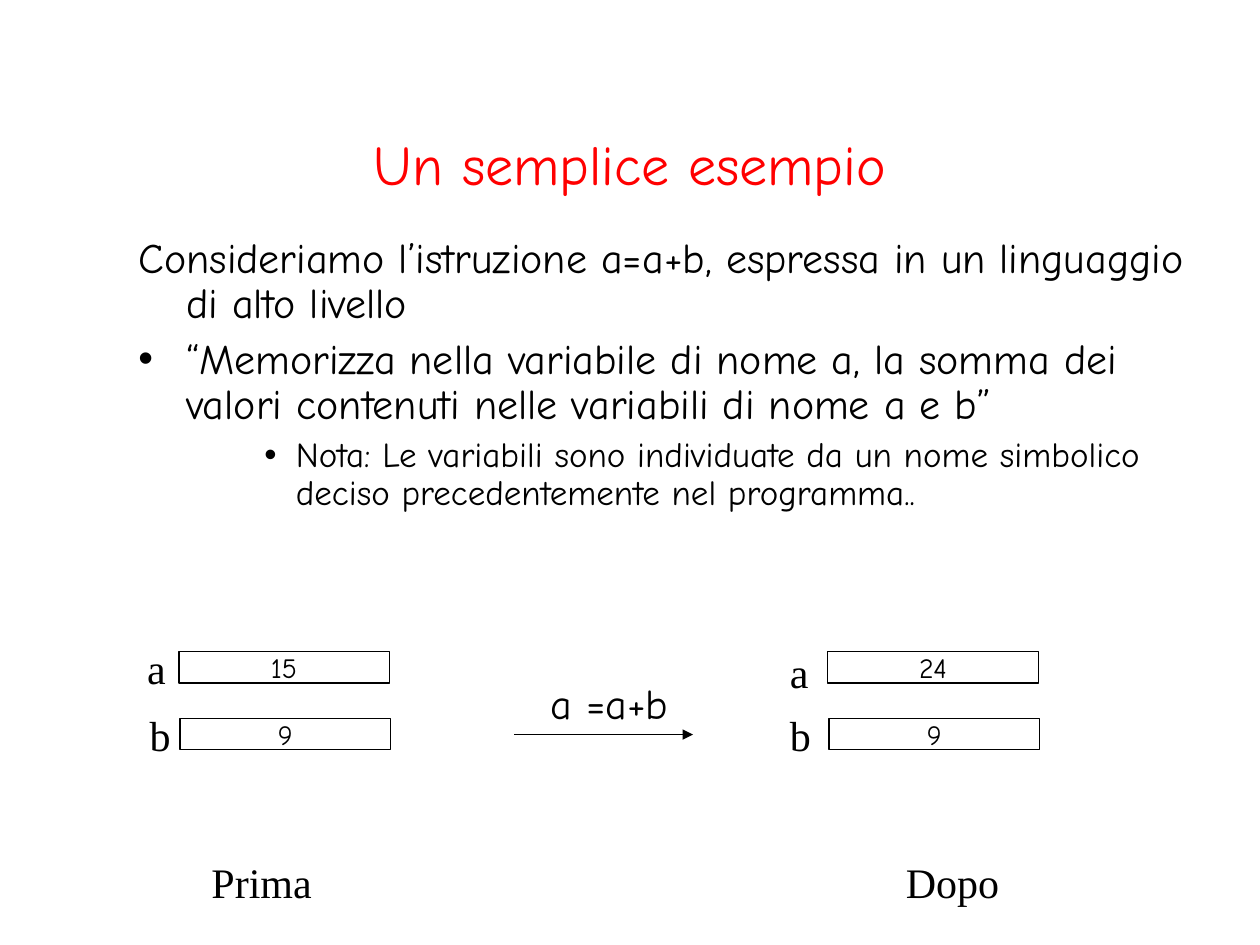
from dataclasses import dataclass

from lxml import etree
from pptx import Presentation
from pptx import util as u
from pptx.dml.color import RGBColor
from pptx.enum import shapes, text
from pptx.oxml.ns import qn


@dataclass(frozen=True)
class Theme:
    title_color: RGBColor = RGBColor(0xFF, 0x00, 0x00)
    ink: RGBColor = RGBColor(0x00, 0x00, 0x00)
    paper: RGBColor = RGBColor(0xFF, 0xFF, 0xFF)
    hand: str = "Comic Neue"
    serif: str = "Times New Roman"
    title_size: int = 32
    body_size: int = 24
    note_size: int = 20
    value_size: int = 16
    line_width: float = 0.75


def write_text(paragraph, content, *, font, size, color, align=None, level=0,
               margin=0, indent=0, bullet=None, before=0, spacing=None):
    """Fill one paragraph; margin and indent are in inches."""
    properties = paragraph._p.get_or_add_pPr()
    properties.set("marL", str(u.Inches(margin)))
    properties.set("indent", str(u.Inches(indent)))
    if bullet:
        etree.SubElement(properties, qn("a:buFont")).set("typeface", "Arial")
        etree.SubElement(properties, qn("a:buChar")).set("char", bullet)
    else:
        etree.SubElement(properties, qn("a:buNone"))
    paragraph.level = level
    paragraph.alignment = align
    paragraph.space_before = u.Pt(before)
    if spacing:
        paragraph.line_spacing = spacing
    run = paragraph.add_run()
    run.text = content
    run.font.name = font
    run.font.size = u.Pt(size)
    run.font.color.rgb = color


class SlideBuilder:
    def __init__(self, slide, theme):
        self.slide = slide
        self.theme = theme

    def text_box(self, left, top, width, height, wrap=False,
                 anchor=text.MSO_ANCHOR.TOP):
        shape = self.slide.shapes.add_textbox(
            *map(u.Inches, (left, top, width, height)))
        shape.text_frame.word_wrap = wrap
        shape.text_frame.vertical_anchor = anchor
        return shape.text_frame

    def title(self, content):
        frame = self.text_box(0.75, 0.67, 8.5, 1.25, True, text.MSO_ANCHOR.MIDDLE)
        write_text(frame.paragraphs[0], content, font=self.theme.hand,
                   size=self.theme.title_size, color=self.theme.title_color,
                   align=text.PP_ALIGN.CENTER)

    def body(self, entries):
        frame = self.text_box(1, 1.83, 8.5, 2.75, True)
        for index, (content, style) in enumerate(entries):
            paragraph = frame.add_paragraph() if index else frame.paragraphs[0]
            write_text(paragraph, content, font=self.theme.hand,
                       color=self.theme.ink, spacing=0.9, **style)

    def label(self, content, left, top, width, font=None):
        frame = self.text_box(left, top, width, 0.5)
        frame.auto_size = text.MSO_AUTO_SIZE.SHAPE_TO_FIT_TEXT
        write_text(frame.paragraphs[0], content, font=font or self.theme.serif,
                   size=self.theme.body_size, color=self.theme.ink,
                   align=text.PP_ALIGN.LEFT)

    def memory_cell(self, value, left, top):
        shape = self.slide.shapes.add_shape(
            shapes.MSO_SHAPE.RECTANGLE,
            *map(u.Inches, (left, top, 1.67, 0.25)))
        shape.shadow.inherit = False
        shape.fill.solid()
        shape.fill.fore_color.rgb = self.theme.paper
        shape.line.color.rgb = self.theme.ink
        shape.line.width = u.Pt(self.theme.line_width)
        frame = shape.text_frame
        frame.word_wrap = False
        frame.vertical_anchor = text.MSO_ANCHOR.MIDDLE
        write_text(frame.paragraphs[0], value, font=self.theme.hand,
                   size=self.theme.value_size, color=self.theme.ink,
                   align=text.PP_ALIGN.CENTER)

    def arrow(self, start, end):
        connector = self.slide.shapes.add_connector(
            shapes.MSO_CONNECTOR.STRAIGHT, *map(u.Inches, (*start, *end)))
        connector.line.color.rgb = self.theme.ink
        connector.line.width = u.Pt(self.theme.line_width)
        line = connector.line._get_or_add_ln()
        etree.SubElement(line, qn("a:tailEnd")).set("type", "triangle")
        etree.SubElement(connector._element.spPr, qn("a:effectLst"))


def main():
    presentation = Presentation()
    presentation.slide_width = u.Inches(10)
    presentation.slide_height = u.Inches(7.5)
    theme = Theme()
    slide = presentation.slides.add_slide(presentation.slide_layouts[6])
    builder = SlideBuilder(slide, theme)

    # Title and explanation
    builder.title("Un semplice esempio")
    main_style = dict(size=theme.body_size, margin=0.38, indent=-0.38)
    note_style = dict(size=theme.note_size, margin=1.25, indent=-0.25,
                      level=2, bullet="•", before=5)
    builder.body([
        ("Consideriamo l’istruzione a=a+b, espressa in un linguaggio "
         "di alto livello", main_style),
        ("“Memorizza nella variabile di nome a, la somma dei valori "
         "contenuti nelle variabili di nome a e b”",
         dict(main_style, bullet="•", before=6)),
        ("Nota: Le variabili sono individuate da un nome simbolico "
         "deciso precedentemente nel programma..", note_style),
    ])

    # Memory before and after: cell left, value of a, places of the names
    states = [
        (1.42, "15", (1.07, 5.05), (1.09, 5.58)),
        (6.57, "24", (6.17, 5.08), (6.17, 5.58)),
    ]
    for left, a_value, a_place, b_place in states:
        builder.memory_cell(a_value, left, 5.17)
        builder.label("a", *a_place, 0.35)
        builder.memory_cell("9", left + 0.01, 5.7)
        builder.label("b", *b_place, 0.36)

    # Captions and the step between the two states
    builder.label("Prima", 1.58, 6.75, 1.08)
    builder.label("Dopo", 7.09, 6.75, 1.02)
    builder.arrow((4.08, 5.83), (5.5, 5.83))
    # Slightly wider than its text, so that it stays on one line
    builder.label("a =a+b", 4.27, 5.33, 1.2, font=theme.hand)

    presentation.save("out.pptx")


if __name__ == "__main__":
    main()
